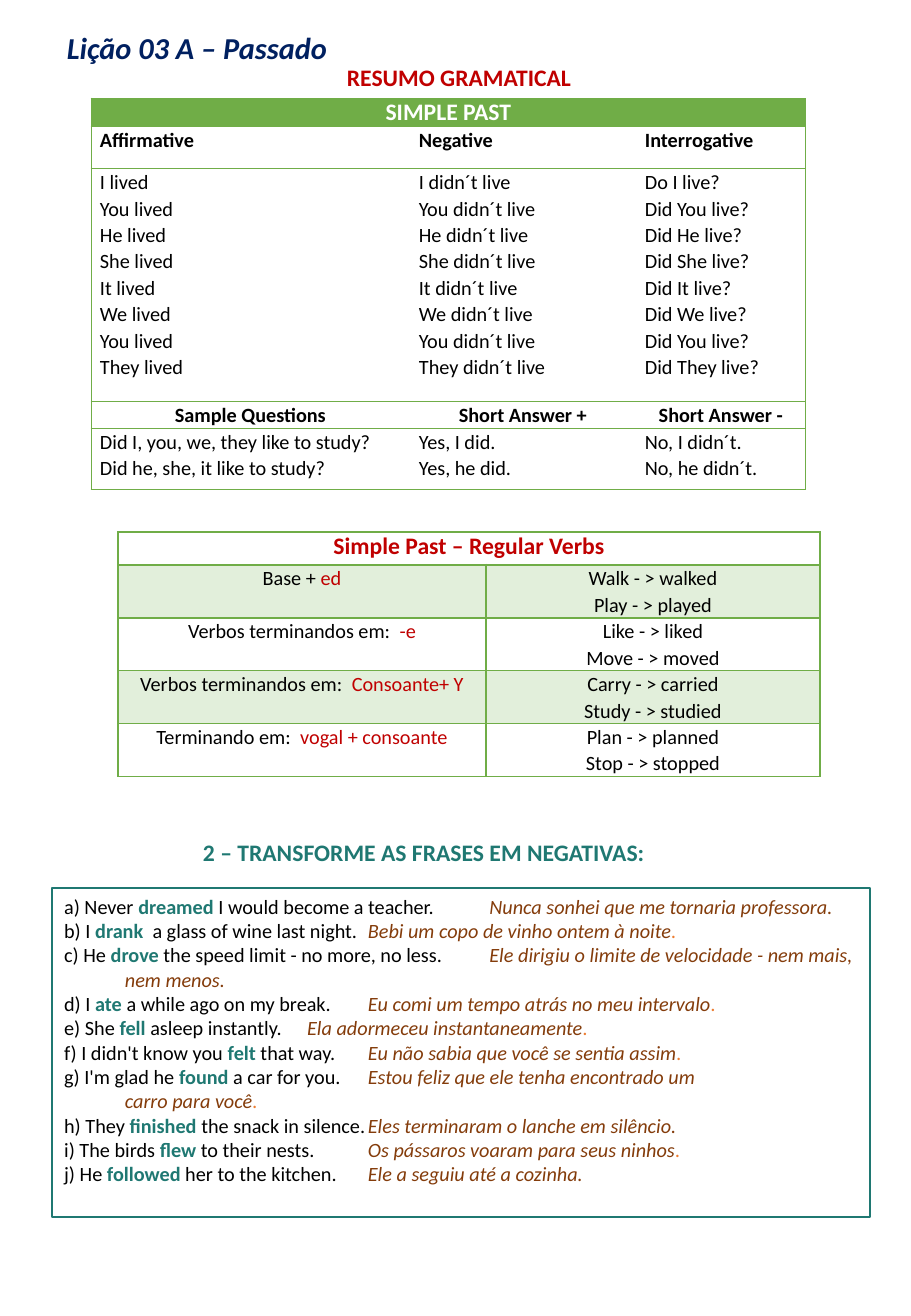
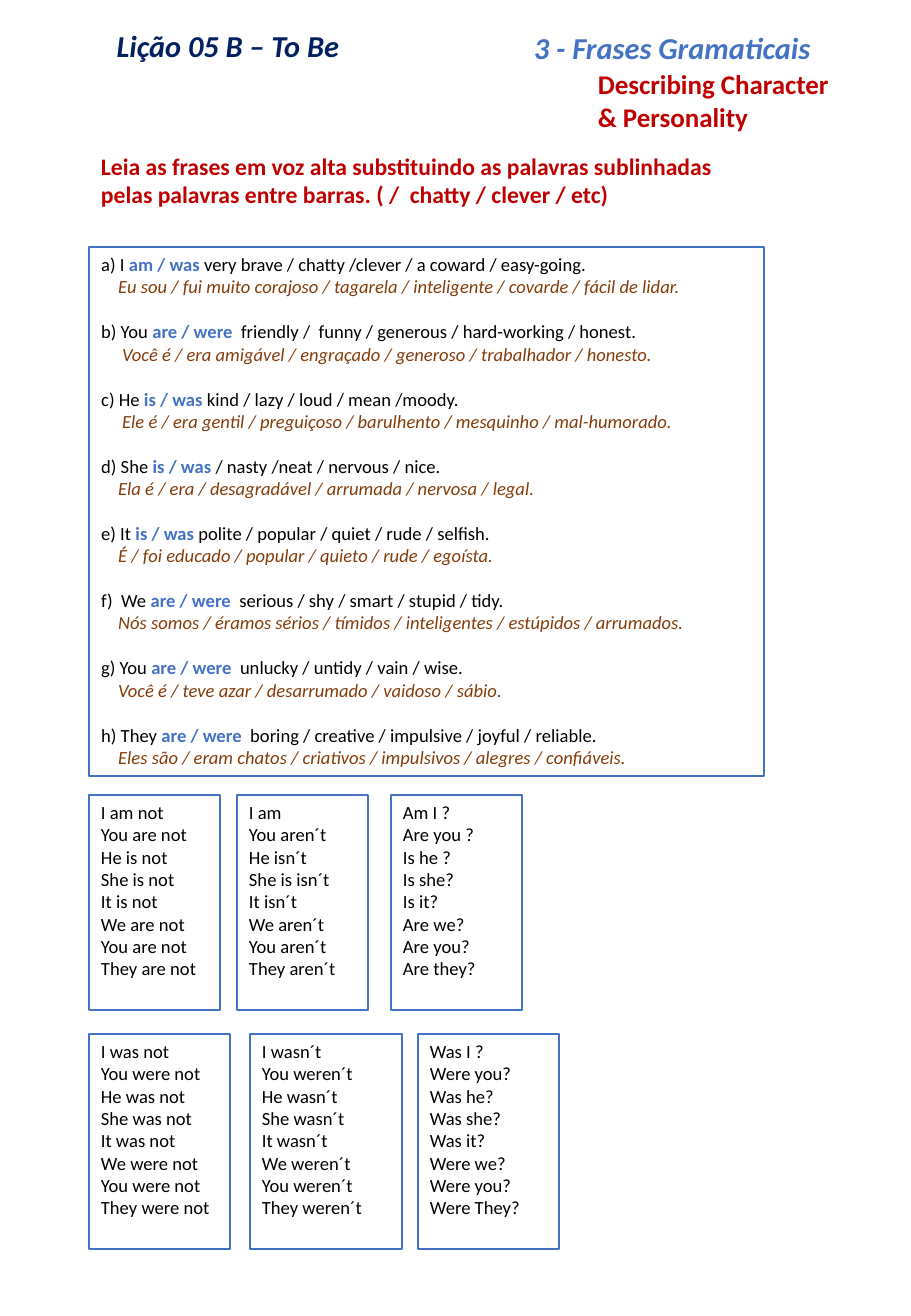
"""Builds two English grammar worksheets: simple past and the verb to be."""
from lxml import etree
from pptx import Presentation
from pptx.dml.color import RGBColor
from pptx.enum.shapes import MSO_SHAPE as Shape
from pptx.enum.text import MSO_ANCHOR as Anchor, MSO_AUTO_SIZE as AutoSize, PP_ALIGN as Align
from pptx.oxml.ns import qn
from pptx.util import Emu, Pt

PX_PER_INCH = 121.5
FONT = "Calibri"
GREEN, PALE_GREEN, TEAL, BLUE = "70AD47", "E2EFDB", "1F7872", "4472C4"

STYLES = {
    "plain": ("000000", False, False),
    "strong": ("000000", True, False),
    "white": ("FFFFFF", True, False),
    "title": ("002060", True, True),
    "section": (BLUE, True, True),
    "red": ("C00000", False, False),
    "heading": ("C00000", True, False),
    "teal": (TEAL, True, False),
    "blue": (BLUE, True, False),
    "translation": ("843C0B", False, True),
    "dot": ("ED7D31", False, True),
}

PAST_TITLE = ("Lição 03 A – Passado", (53, 21, 288, 52))
PAST_HEADINGS = [
    (["RESUMO GRAMATICAL"], "heading", 14, (335, 57, 251, 41)),
    (["2 – TRANSFORME AS FRASES EM NEGATIVAS:"], "teal", 14, (191, 832, 469, 41)),
]
PAST_PLACE = (91, 98, [319, 226, 170], [28, 42, 233, 26, 61])
PAST_ROWS = [
    ("white", Align.CENTER, [["SIMPLE PAST"]]),
    ("strong", Align.LEFT, [["Affirmative"], ["Negative"], ["Interrogative"]]),
    ("plain", Align.LEFT, [
        ["I lived", "You lived", "He lived", "She lived", "It lived", "We lived",
         "You lived", "They lived"],
        ["I didn´t live", "You didn´t live", "He didn´t live", "She didn´t live",
         "It didn´t live", "We didn´t live", "You didn´t live", "They didn´t live"],
        ["Do I live?", "Did You live?", "Did He live?", "Did She live?", "Did It live?",
         "Did We live?", "Did You live?", "Did They live?"],
    ]),
    ("strong", Align.CENTER, [["Sample Questions"], ["Short Answer +"], ["Short Answer -"]]),
    ("plain", Align.LEFT, [
        ["Did I, you, we, they like to study?", "Did he, she, it like to study?"],
        ["Yes, I did.", "Yes, he did."],
        ["No, I didn´t.", "No, he didn´t."],
    ]),
]
VERBS_PLACE = (118, 532, [368, 334], [33, 52, 52, 52, 52])
VERBS_TITLE = "Simple Past – Regular Verbs"
VERBS_ROWS = [
    ("Base + ", "ed", ["Walk - > walked", "Play - > played"]),
    ("Verbos terminandos em:  ", "-e", ["Like - > liked", "Move - > moved"]),
    ("Verbos terminandos em:  ", "Consoante+ Y", ["Carry - > carried", "Study - > studied"]),
    ("Terminando em:  ", "vogal + consoante", ["Plan - > planned", "Stop - > stopped"]),
]
EXERCISE_BOX = (52, 888, 818, 329)
TRANSLATION_TAB = 425
EXERCISES = [
    ("a) Never ", "dreamed", " I would become a teacher.",
     "Nunca sonhei que me tornaria professora.", ""),
    ("b) I ", "drank", "  a glass of wine last night.", "Bebi um copo de vinho ontem à noite", "."),
    ("c) He ", "drove", " the speed limit - no more, no less.",
     "Ele dirigiu o limite de velocidade - nem mais,", ""),
    ("d) I ", "ate", " a while ago on my break.", "Eu comi um tempo atrás no meu intervalo", "."),
    ("e) She ", "fell", " asleep instantly.", "Ela adormeceu instantaneamente", "."),
    ("f) I didn't know you ", "felt", " that way.", "Eu não sabia que você se sentia assim", "."),
    ("g) I'm glad he ", "found", " a car for you.", "Estou feliz que ele tenha encontrado um", ""),
    ("h) They ", "finished", " the snack in silence.", "Eles terminaram o lanche em silêncio.", ""),
    ("i) The birds ", "flew", " to their nests.", "Os pássaros voaram para seus ninhos", "."),
    ("j) He ", "followed", " her to the kitchen.", "Ele a seguiu até a cozinha.", ""),
]
CONTINUATIONS = {"c": ("nem menos.", "", TRANSLATION_TAB), "g": ("carro para você", ".", 304)}

TO_BE_TITLE = ("Lição 05 B – To Be", (103, 21, 250, 86))
TO_BE_HEADINGS = [
    (["3 - Frases Gramaticais"], "section", 18, (522, 23, 364, 49)),
    (["Describing Character & Personality"], "heading", 16, (586, 62, 269, 78)),
    (["Leia as frases em voz alta substituindo as palavras sublinhadas",
      "pelas palavras entre barras. ( /  chatty / clever / etc)"],
     "heading", 14, (89, 146, 645, 69)),
]
SENTENCE_BOX = (89, 247, 675, 529)
SENTENCES = [
    ("a) I ", "am / was", " very brave / chatty /clever / a coward / easy-going.", 17,
     "Eu sou / fui muito corajoso / tagarela / inteligente / covarde / fácil de lidar."),
    ("b) You ", "are / were", "  friendly /  funny / generous / hard-working / honest.", 21,
     "Você é / era amigável / engraçado / generoso / trabalhador / honesto."),
    ("c) He ", "is / was", " kind / lazy / loud / mean /moody.", 21,
     "Ele é / era gentil / preguiçoso / barulhento / mesquinho / mal-humorado."),
    ("d) She ", "is / was", " / nasty /neat / nervous / nice.", 17,
     "Ela é / era / desagradável / arrumada / nervosa / legal."),
    ("e) It ", "is / was", " polite / popular / quiet / rude / selfish.", 17,
     "É / foi educado / popular / quieto / rude / egoísta."),
    ("f)  We ", "are / were", "  serious / shy / smart / stupid / tidy.", 17,
     "Nós somos / éramos sérios / tímidos / inteligentes / estúpidos / arrumados."),
    ("g) You ", "are / were", "  unlucky / untidy / vain / wise.", 17,
     "Você é / teve azar / desarrumado / vaidoso / sábio."),
    ("h) They ", "are / were", "  boring / creative / impulsive / joyful / reliable.", 17,
     "Eles são / eram chatos / criativos / impulsivos / alegres / confiáveis."),
]
FORMS_HEIGHT = 215
FORMS = [
    (795, [
        (89, 131, ["I am not", "You are not", "He is not", "She is not", "It is not",
                   "We are not", "You are not", "They are not"]),
        (237, 131, ["I am", "You aren´t", "He isn´t", "She is isn´t", "It isn´t",
                    "We aren´t", "You aren´t", "They aren´t"]),
        (391, 131, ["Am I ?", "Are you ?", "Is he ?", "Is she?", "Is it?", "Are we?",
                    "Are you?", "Are they?"]),
    ]),
    (1034, [
        (89, 141, ["I was not", "You were not", "He was not", "She was not", "It was not",
                   "We were not", "You were not", "They were not"]),
        (250, 152, ["I wasn´t", "You weren´t", "He wasn´t", "She wasn´t", "It wasn´t",
                    "We weren´t", "You weren´t", "They weren´t"]),
        (418, 141, ["Was I ?", "Were you?", "Was he?", "Was she?", "Was it?", "Were we?",
                    "Were you?", "Were They?"]),
    ]),
]


def px(value):
    return Emu(round(value * 914400 / PX_PER_INCH))


def color(value):
    return RGBColor.from_string(value)


def place(shape, box):
    shape.left, shape.top, shape.width, shape.height = map(px, box)


def write(frame, lines, size, align=Align.LEFT, spacing=1.0):
    for index, runs in enumerate(lines):
        paragraph = frame.paragraphs[0] if index == 0 else frame.add_paragraph()
        paragraph.alignment = align
        paragraph.line_spacing = spacing
        for text, style in runs:
            run = paragraph.add_run()
            run.text = text
            value, bold, italic = STYLES[style]
            run.font.name, run.font.size = FONT, Pt(size)
            run.font.bold, run.font.italic = bold, italic
            run.font.color.rgb = color(value)


def styled(texts, style):
    return [[(text, style)] for text in texts]


def set_up(frame):
    frame.word_wrap = True
    frame.auto_size = AutoSize.NONE
    frame.vertical_anchor = Anchor.TOP


def outline(shape, value):
    shape.fill.background()
    shape.line.color.rgb = color(value)
    shape.line.width = Pt(0.75)


def start_slide(presentation, title, headings, spacing):
    slide = presentation.slides.add_slide(presentation.slide_layouts[1])
    text, box = title
    place(slide.shapes.title, box)
    set_up(slide.shapes.title.text_frame)
    write(slide.shapes.title.text_frame, styled([text], "title"), 18, Align.CENTER, spacing)
    for lines, style, size, heading_box in headings:
        shape = slide.shapes.add_textbox(*map(px, heading_box))
        set_up(shape.text_frame)
        write(shape.text_frame, styled(lines, style), size)
    return slide


def fill_body(slide, box, border, lines, size):
    body = slide.placeholders[1]
    place(body, box)
    outline(body, border)
    set_up(body.text_frame)
    write(body.text_frame, lines, size)
    for paragraph in body.text_frame.paragraphs:
        properties = paragraph._p.get_or_add_pPr()
        properties.set("marL", "0")
        properties.set("indent", "0")
        etree.SubElement(properties, qn("a:buNone"))
        paragraph.space_before = Pt(0)
    return body.text_frame.paragraphs


def set_tab(paragraph, position):
    tabs = etree.SubElement(paragraph._p.get_or_add_pPr(), qn("a:tabLst"))
    etree.SubElement(tabs, qn("a:tab"), pos=str(px(position)), algn="l")


def set_borders(cell, widths):
    properties = cell._tc.get_or_add_tcPr()
    for index, (side, width) in enumerate(zip("LRTB", widths)):
        line = etree.Element(qn(f"a:ln{side}"), w=str(Pt(width)))
        if width:
            fill = etree.SubElement(line, qn("a:solidFill"))
            etree.SubElement(fill, qn("a:srgbClr"), val=GREEN)
        else:
            etree.SubElement(line, qn("a:noFill"))
        properties.insert(index, line)


def add_grid(slide, spot, fills, border_rule):
    left, top, widths, heights = spot
    box = (left, top, sum(widths), sum(heights))
    table = slide.shapes.add_table(len(heights), len(widths), *map(px, box)).table
    table.first_row = table.horz_banding = False
    for column, width in zip(table.columns, widths):
        column.width = px(width)
    for row, height in zip(table.rows, heights):
        row.height = px(height)
    for row in range(len(heights)):
        for column in range(len(widths)):
            cell = table.cell(row, column)
            cell.margin_left = cell.margin_right = px(9)
            cell.margin_top = cell.margin_bottom = 0
            if fills[row]:
                cell.fill.solid()
                cell.fill.fore_color.rgb = color(fills[row])
            else:
                cell.fill.background()
            set_borders(cell, border_rule(row, column))
    table.cell(0, 0).merge(table.cell(0, len(widths) - 1))
    return table


def past_borders(row, column):
    return 0.5 * (column == 0), 0.5 * (column == 2), 0.5, 0.5


def verb_borders(row, column):
    return 1, 1, 2 if row == 1 else 1, 2 if row == 0 else 1


def build_past(presentation):
    slide = start_slide(presentation, PAST_TITLE, PAST_HEADINGS, 1.07)
    table = add_grid(slide, PAST_PLACE, [GREEN] + [None] * 4, past_borders)
    for row, (style, align, cells) in enumerate(PAST_ROWS):
        for column, lines in enumerate(cells):
            size, spacing = (12, 1.07) if row else (14, 1.0)
            write(table.cell(row, column).text_frame, styled(lines, style), size, align, spacing)

    table = add_grid(slide, VERBS_PLACE, [None] + [PALE_GREEN, None] * 2, verb_borders)
    write(table.cell(0, 0).text_frame, styled([VERBS_TITLE], "heading"), 14, Align.CENTER)
    for row, (rule, ending, examples) in enumerate(VERBS_ROWS, 1):
        cells = [[(rule, "plain"), (ending, "red")]], styled(examples, "plain")
        for column, lines in enumerate(cells):
            write(table.cell(row, column).text_frame, lines, 12, Align.CENTER, 1.07)

    lines, tabs = [], []
    for lead, verb, rest, translation, dot in EXERCISES:
        lines.append([(lead, "plain"), (verb, "teal"), (rest + "\t", "plain"),
                      (translation, "translation")] + [(dot, "dot")] * bool(dot))
        tabs.append(TRANSLATION_TAB)
        if lead[0] in CONTINUATIONS:
            text, dot, tab = CONTINUATIONS[lead[0]]
            lines.append([("\t" + text, "translation")] + [(dot, "dot")] * bool(dot))
            tabs.append(tab)
    for paragraph, tab in zip(fill_body(slide, EXERCISE_BOX, TEAL, lines, 12), tabs):
        set_tab(paragraph, tab)


def build_to_be(presentation):
    slide = start_slide(presentation, TO_BE_TITLE, TO_BE_HEADINGS, 1.0)
    lines = []
    for lead, verb, rest, indent, translation in SENTENCES:
        lines.append([(lead, "plain"), (verb, "blue"), (rest, "plain")])
        lines.append([(translation, "translation")])
    paragraphs = fill_body(slide, SENTENCE_BOX, BLUE, lines, 11)
    for english in paragraphs[2::2]:
        english.space_before = Pt(13.4)
    for portuguese, sentence in zip(paragraphs[1::2], SENTENCES):
        portuguese._p.get_or_add_pPr().set("marL", str(px(sentence[3])))
    for top, boxes in FORMS:
        for left, width, forms in boxes:
            box = (left, top, width, FORMS_HEIGHT)
            shape = slide.shapes.add_shape(Shape.RECTANGLE, *map(px, box))
            shape.shadow.inherit = False
            outline(shape, BLUE)
            set_up(shape.text_frame)
            write(shape.text_frame, styled(forms, "plain"), 11)


def main():
    presentation = Presentation()
    presentation.slide_width, presentation.slide_height = px(911), px(1316)
    build_past(presentation)
    build_to_be(presentation)
    presentation.save("out.pptx")


if __name__ == "__main__":
    main()
